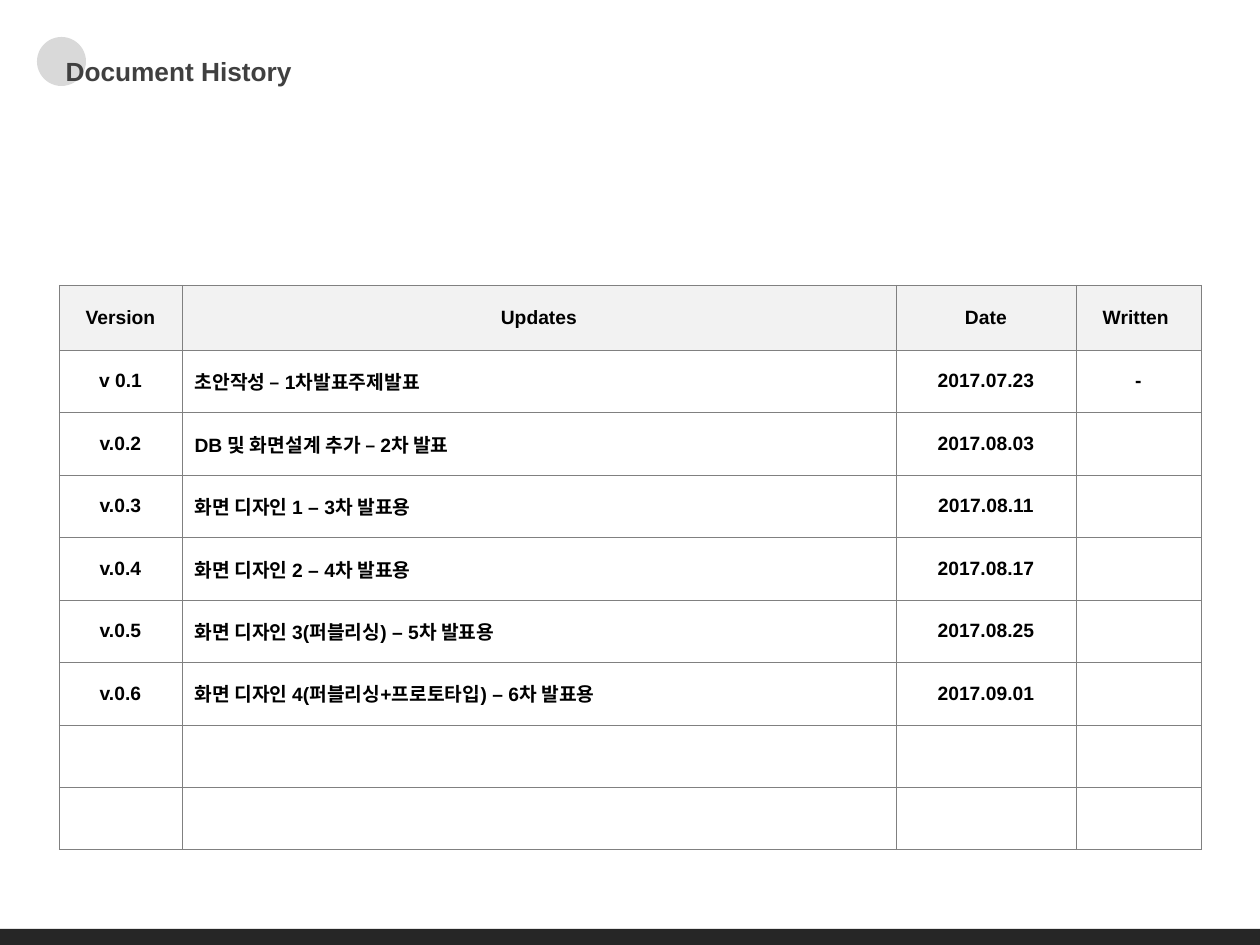
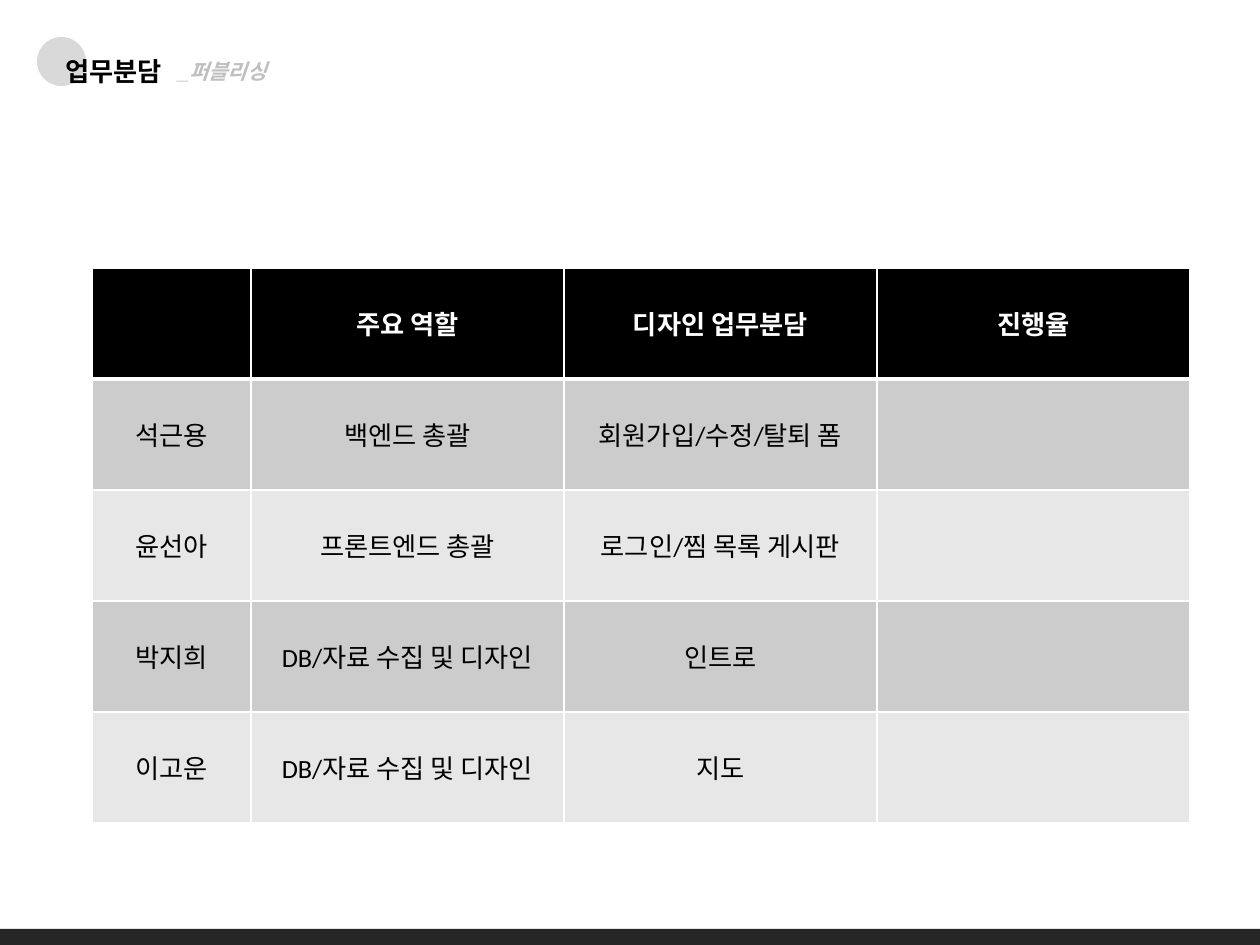
from lxml import etree
from pptx import Presentation
from pptx.dml.color import RGBColor
from pptx.enum.shapes import MSO_SHAPE
from pptx.enum.text import MSO_ANCHOR, MSO_AUTO_SIZE, PP_ALIGN
from pptx.oxml.ns import qn
from pptx.util import Inches, Pt

SCALE = Inches(10) / 1260
WIDTH, HEIGHT = 1260, 945
OVAL, RECT = MSO_SHAPE.OVAL, MSO_SHAPE.RECTANGLE
LEFT, CENTER = PP_ALIGN.LEFT, PP_ALIGN.CENTER
TOP, MIDDLE, BOTTOM = MSO_ANCHOR.TOP, MSO_ANCHOR.MIDDLE, MSO_ANCHOR.BOTTOM
NO_FIT = MSO_AUTO_SIZE.NONE

BLACK = RGBColor(0x00, 0x00, 0x00)
WHITE = RGBColor(0xFF, 0xFF, 0xFF)
INK = RGBColor(0x40, 0x40, 0x40)
BAND = RGBColor(0x26, 0x26, 0x26)
DOT = RGBColor(0xD9, 0xD9, 0xD9)
PALE = RGBColor(0xBF, 0xBF, 0xBF)
GRID = RGBColor(0x80, 0x80, 0x80)
HEAD = RGBColor(0xF2, 0xF2, 0xF2)
DARK_ROW = RGBColor(0xCC, 0xCC, 0xCC)
LIGHT_ROW = RGBColor(0xE7, 0xE7, 0xE7)

UPDATES = [
    ("Version", "Updates", "Date", "Written "),
    ("v 0.1", "초안작성 – 1차발표주제발표", "2017.07.23", "-"),
    ("v.0.2", "DB 및 화면설계 추가 – 2차 발표", "2017.08.03", ""),
    ("v.0.3", "화면 디자인 1 – 3차 발표용", "2017.08.11", ""),
    ("v.0.4", "화면 디자인 2 – 4차 발표용", "2017.08.17", ""),
    ("v.0.5", "화면 디자인 3(퍼블리싱) – 5차 발표용", "2017.08.25", ""),
    ("v.0.6", "화면 디자인 4(퍼블리싱+프로토타입) – 6차 발표용", "2017.09.01", ""),
    ("", "", "", ""),
    ("", "", "", ""),
]
ROLES = [
    ("", "주요 역할", "디자인 업무분담", "진행율"),
    ("석근용", "백엔드 총괄", "회원가입/수정/탈퇴 폼", ""),
    ("윤선아", "프론트엔드 총괄", "로그인/찜 목록 게시판", ""),
    ("박지희", "DB/자료 수집 및 디자인", "인트로", ""),
    ("이고운", "DB/자료 수집 및 디자인", "지도", ""),
]


def px(count):
    """Turn pixels into EMU."""
    return round(count * SCALE)


def style(line, size, color, font="Arial", bold=True, italic=False):
    """Format every run of a paragraph."""
    for run in line.runs:
        face = run.font
        face.name, face.size = font, Pt(size)
        face.bold, face.italic = bold, italic
        face.color.rgb = color


def add_mark(slide, kind, box, color):
    """Add a plain shape behind the title."""
    mark = slide.shapes.add_shape(kind, *map(px, box))
    mark.shadow.inherit = False
    mark.fill.solid()
    mark.fill.fore_color.rgb = color
    mark.line.fill.background()
    slide.shapes.title.element.addprevious(mark.element)


def fill_holder(holder, box, text, size, color, anchor, italic=False):
    """Move a placeholder and set its single line of text."""
    holder.left, holder.top, holder.width, holder.height = map(px, box)
    frame = holder.text_frame
    frame.text = text
    frame.word_wrap = True
    frame.auto_size = NO_FIT
    frame.vertical_anchor = anchor
    line = frame.paragraphs[0]
    line.alignment = LEFT
    line.line_spacing = 0.9
    line.space_before = Pt(0)
    style(line, size, color, italic=italic)
    return line


def add_slide(deck, layout, title, width, color):
    """Add a slide with its dot, band and title."""
    slide = deck.slides.add_slide(deck.slide_layouts[layout])
    add_mark(slide, OVAL, (37, 37, 49, 49), DOT)
    add_mark(slide, RECT, (0, 929, WIDTH, HEIGHT - 929), BAND)
    fill_holder(slide.shapes.title, (53, 49, width, 45), title, 15, color, BOTTOM)
    return slide


def add_note(slide, text):
    """Set the pale note beside the title."""
    holder = slide.placeholders[1]
    line = fill_holder(holder, (165, 55, 445, 34), text, 12, PALE, TOP, True)
    props = line._p.get_or_add_pPr()
    props.set("marL", "0")
    props.set("indent", "0")
    etree.SubElement(props, qn("a:buNone"))


def set_edges(cell, color, widths):
    """Draw the left, right, top and bottom borders of a cell."""
    props = cell._tc.get_or_add_tcPr()
    for spot, (side, width) in enumerate(zip("LRTB", widths)):
        edge = etree.Element(qn(f"a:ln{side}"), w=str(Pt(width)))
        solid = etree.SubElement(edge, qn("a:solidFill"))
        etree.SubElement(solid, qn("a:srgbClr"), val=str(color))
        props.insert(spot, edge)


def add_grid(slide, data, spot, widths, head, rest):
    """Add a table with a head row and equal body rows."""
    size = sum(widths), head + rest
    frame = slide.shapes.add_table(len(data), len(widths), *map(px, spot + size))
    table = frame.table
    table.first_row = table.horz_banding = False
    for col, width in zip(table.columns, widths):
        col.width = px(width)
    for index, row in enumerate(table.rows):
        row.height = px(rest / (len(data) - 1) if index else head)
        for cell, text in zip(row.cells, data[index]):
            cell.text = text
            cell.vertical_anchor = MIDDLE
            cell.text_frame.paragraphs[0].alignment = CENTER
    return table


def add_history(slide):
    """Add the table of document versions."""
    table = add_grid(slide, UPDATES, (59, 285), (123, 714, 180, 125), 65, 500)
    for index, row in enumerate(table.rows):
        for col, cell in enumerate(row.cells):
            line = cell.text_frame.paragraphs[0]
            style(line, 11, BLACK)
            if index == 0:
                cell.fill.solid()
                cell.fill.fore_color.rgb = HEAD
            else:
                cell.fill.background()
                if col == 1:
                    line.alignment = LEFT
            set_edges(cell, GRID, [0.25] * 4)


def add_roles(slide):
    """Add the table of team roles."""
    table = add_grid(slide, ROLES, (92, 268), (159, 313, 313, 313), 111, 444)
    for index, row in enumerate(table.rows):
        top = 3 if index == 1 else 1
        base = 1 if index else 3
        shade = (LIGHT_ROW, DARK_ROW)[index % 2] if index else BLACK
        color = BLACK if index else WHITE
        for cell in row.cells:
            cell.fill.solid()
            cell.fill.fore_color.rgb = shade
            style(cell.text_frame.paragraphs[0], 15, color, "Calibri", index == 0)
            set_edges(cell, WHITE, (1, 1, top, base))


def main():
    """Build and save the two slides."""
    deck = Presentation()
    deck.slide_width, deck.slide_height = px(WIDTH), px(HEIGHT)
    add_history(add_slide(deck, 5, "Document History", 260, INK))
    slide = add_slide(deck, 1, "업무분담", 412, BLACK)
    add_note(slide, "_퍼블리싱")
    add_roles(slide)
    deck.save("out.pptx")


if __name__ == "__main__":
    main()
